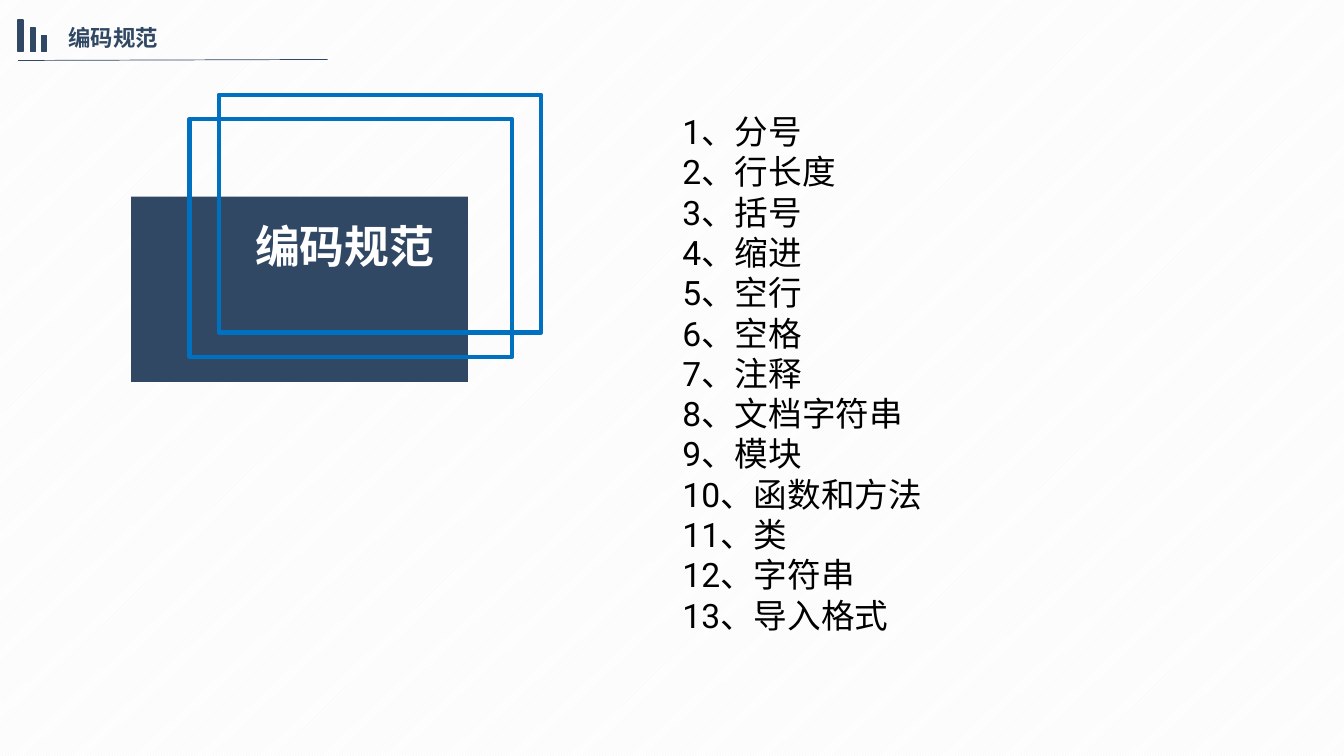
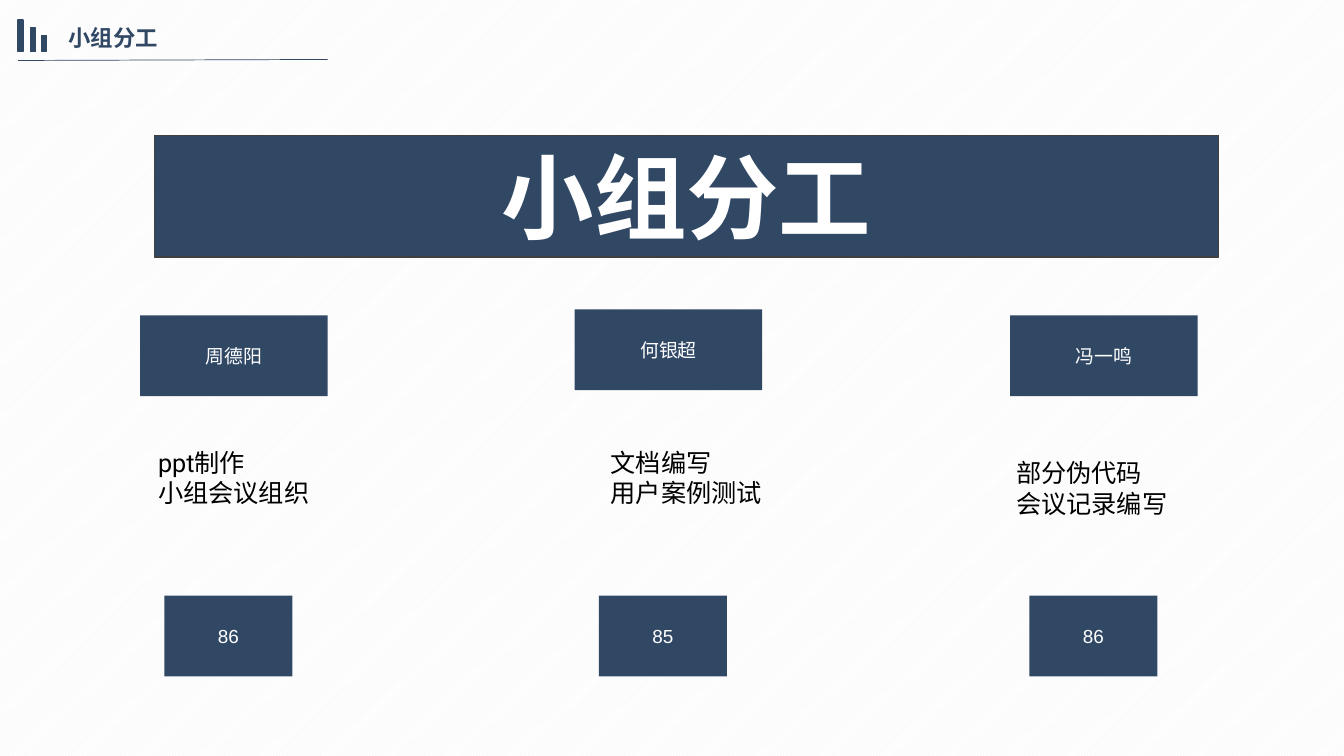
import pptx
import pptx.util
import pptx.dml.color
import pptx.enum.dml
import pptx.enum.shapes
import pptx.enum.text
import pptx.oxml.ns
import lxml.etree

ALIGN = pptx.enum.text.PP_ALIGN
ANCHOR = pptx.enum.text.MSO_ANCHOR
Inches = pptx.util.Inches

COLORS = {"navy": "314865", "blue": "0070C0", "white": "FFFFFF",
          "black": "000000", "gray": "404040", "stripe": "F2F2F2"}
SLIDE_SIZE = (13.33, 7.5)

BAR_LEFTS = (0.18, 0.3, 0.41)
BAR_HEIGHTS = (0.31, 0.23, 0.16)
BAR_BASE = 0.51
BAR_WIDTH = 0.05

RULES_TITLE = "编码规范"
RULES = ["分号", "行长度", "括号", "缩进", "空行", "空格", "注释",
         "文档字符串", "模块", "函数和方法", "类", "字符串", "导入格式"]
FRAMES = [(1.88, 1.18), (2.17, 0.94)]
FRAME_SIZE = (3.2, 2.36)

TEAM_TITLE = "小组分工"
TEAM = [
    {"name": "周德阳", "name_at": (1.39, 3.13), "tasks": ["ppt制作", "小组会议组织"],
     "tasks_at": (1.47, 4.39), "score": "86", "score_at": (1.63, 5.91)},
    {"name": "何银超", "name_at": (5.7, 3.07), "tasks": ["文档编写", "用户案例测试"],
     "tasks_at": (5.96, 4.39), "score": "85", "score_at": (5.94, 5.91)},
    {"name": "冯一鸣", "name_at": (10.02, 3.13), "tasks": ["部分伪代码", "会议记录编写"],
     "tasks_at": (9.98, 4.49), "score": "86", "score_at": (10.21, 5.91)},
]
NAME_SIZE = (1.86, 0.8)
TASKS_SIZE = (3.2, 0.71)
SCORE_SIZE = (1.27, 0.8)


def rgb(name):
    return pptx.dml.color.RGBColor.from_string(COLORS[name])


def write(shape, lines, size, color, font="Arial", bold=False,
          align=ALIGN.LEFT, anchor=ANCHOR.TOP):
    frame = shape.text_frame
    frame.word_wrap = True
    frame.auto_size = pptx.enum.text.MSO_AUTO_SIZE.NONE
    frame.vertical_anchor = anchor
    for index, line in enumerate(lines):
        paragraph = frame.add_paragraph() if index else frame.paragraphs[0]
        paragraph.alignment = align
        run = paragraph.add_run()
        run.text = line
        run.font.name = font
        run.font.size = pptx.util.Pt(size)
        run.font.bold = bold
        run.font.color.rgb = rgb(color)


def add_box(slide, position, size, fill=None, line=None, width=1):
    shape = slide.shapes.add_shape(pptx.enum.shapes.MSO_SHAPE.RECTANGLE,
                                   *map(Inches, position + size))
    shape.shadow.inherit = False
    if fill:
        shape.fill.solid()
        shape.fill.fore_color.rgb = rgb(fill)
    else:
        shape.fill.background()
    if line:
        shape.line.color.rgb = rgb(line)
        shape.line.width = pptx.util.Pt(width)
    else:
        shape.line.fill.background()
    return shape


def add_text(slide, position, size, *args, **style):
    write(slide.shapes.add_textbox(*map(Inches, position + size)), *args, **style)


def add_label(slide, position, size, text):
    shape = add_box(slide, position, size, "navy")
    write(shape, [text], 13.5, "white", align=ALIGN.CENTER, anchor=ANCHOR.MIDDLE)


def add_slide(presentation, heading):
    slide = presentation.slides.add_slide(presentation.slide_layouts[5])
    fill = slide.background.fill
    fill.patterned()
    fill.pattern = pptx.enum.dml.MSO_PATTERN.DARK_UPWARD_DIAGONAL
    fill.fore_color.rgb = rgb("stripe")
    fill.back_color.rgb = rgb("white")

    title = slide.shapes.title
    title.left, title.top, title.width, title.height = map(Inches, (0.58, 0.19, 2.66, 0.37))
    write(title, [heading], 16, "navy", bold=True, align=ALIGN.JUSTIFY)

    rule = slide.shapes.add_connector(pptx.enum.shapes.MSO_CONNECTOR.STRAIGHT,
                                      *map(Inches, (0.18, 0.6, 3.25, 0.59)))
    rule.line.color.rgb = rgb("navy")
    rule.line.width = pptx.util.Pt(0.5)
    properties = rule._element.find(pptx.oxml.ns.qn("p:spPr"))
    lxml.etree.SubElement(properties, pptx.oxml.ns.qn("a:effectLst"))

    for left, height in zip(BAR_LEFTS, BAR_HEIGHTS):
        add_box(slide, (left, BAR_BASE - height), (BAR_WIDTH, height), "navy", "navy")
    return slide


def build_rules(presentation):
    slide = add_slide(presentation, RULES_TITLE)
    add_box(slide, (1.3, 1.95), (3.34, 1.84), "navy")
    for position in FRAMES:
        add_box(slide, position, FRAME_SIZE, line="blue", width=3)
    add_text(slide, (2.02, 2.12), (2.8, 0.64), [RULES_TITLE], 32, "white",
             bold=True, align=ALIGN.CENTER)
    lines = [f"{number}、{rule}" for number, rule in enumerate(RULES, 1)]
    add_text(slide, (6.67, 1.05), (6.5, 5.65), lines, 24, "black", font="Roboto")


def build_team(presentation):
    slide = add_slide(presentation, TEAM_TITLE)
    banner = add_box(slide, (1.53, 1.34), (10.56, 1.21), "navy", "gray", 0.75)
    write(banner, [TEAM_TITLE], 66, "white", bold=True, align=ALIGN.CENTER)
    for member in TEAM:
        add_label(slide, member["name_at"], NAME_SIZE, member["name"])
        add_text(slide, member["tasks_at"], TASKS_SIZE, member["tasks"], 18, "black",
                 font="Roboto")
        add_label(slide, member["score_at"], SCORE_SIZE, member["score"])


def main():
    presentation = pptx.Presentation()
    presentation.slide_width, presentation.slide_height = map(Inches, SLIDE_SIZE)
    build_rules(presentation)
    build_team(presentation)
    presentation.save("out.pptx")


if __name__ == "__main__":
    main()
